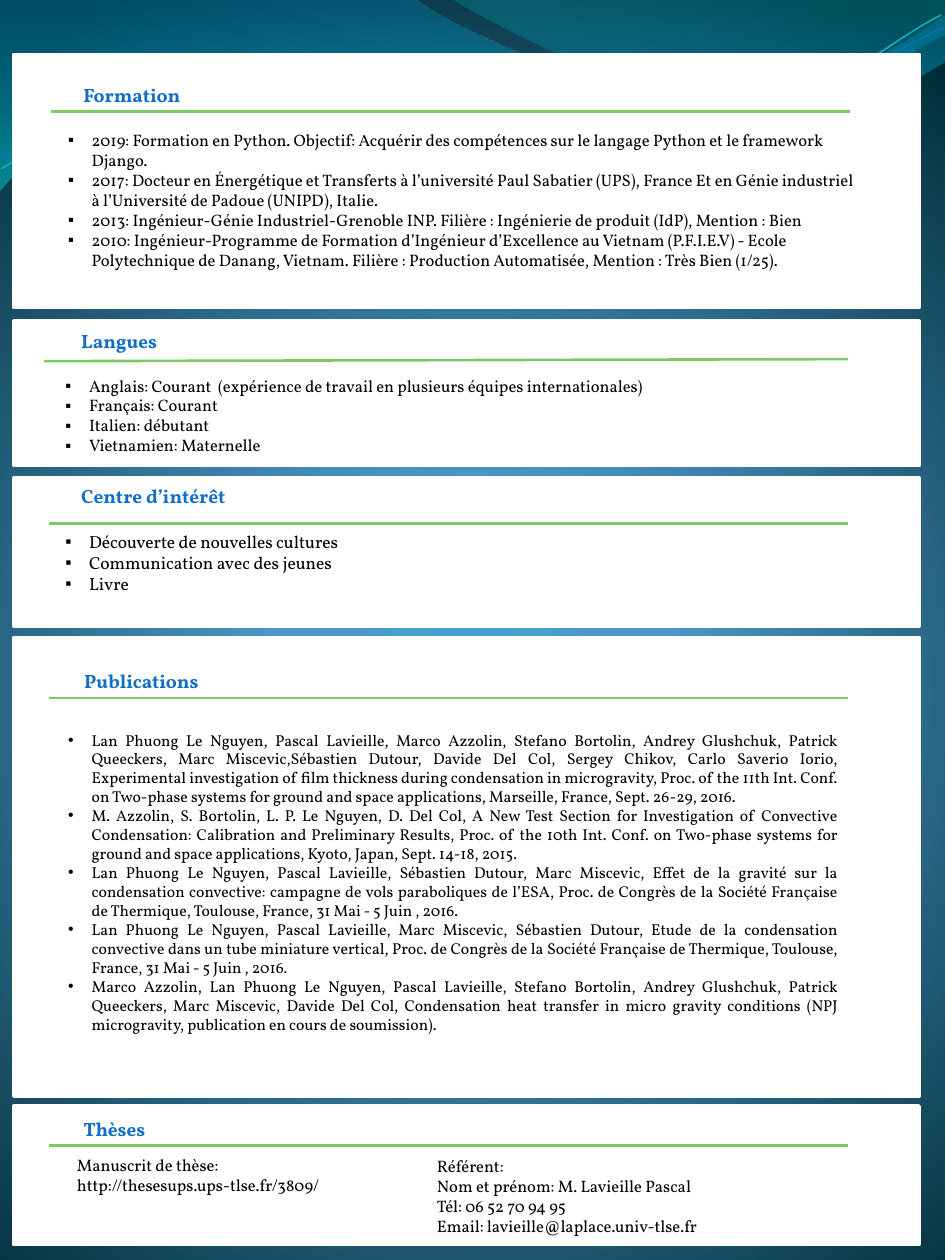
from lxml import etree
from pptx import Presentation
from pptx import util as u
from pptx.dml.color import RGBColor
from pptx.enum import shapes, text
from pptx.oxml import parse_xml
from pptx.oxml.ns import qn

BLUE = RGBColor(0x0F, 0x6F, 0xC6)
GREEN = RGBColor(0x7C, 0xCA, 0x62)
TEAL = RGBColor(0x0A, 0xB8, 0xBF)
WHITE = RGBColor(0xFF, 0xFF, 0xFF)
BLACK = RGBColor(0, 0, 0)
SKY = RGBColor(0x4A, 0xA0, 0xD6)
STEEL = RGBColor(0x4C, 0x98, 0xC7)
NIGHT = RGBColor(0x00, 0x2C, 0x38)
OCEAN = RGBColor(0x00, 0x74, 0xA1)
AQUA = RGBColor(0x00, 0xC6, 0xCF)
LAGOON = RGBColor(0x00, 0xA1, 0xA9)
AZURE = RGBColor(0x00, 0x8B, 0xBF)
FONT = "Vollkorn"
HANGING = 13.5
CARD_LEFT, CARD_WIDTH = 7.9, 517.3
DRAWING = "http://schemas.openxmlformats.org/drawingml/2006/main"
RADIAL = ('<a:path path="circle"><a:fillToRect l="10000" t="110000" '
          'r="10000" b="100000"/></a:path>')
DOWNWARD = '<a:lin ang="5400000" scaled="0"/>'

FORMATION = [
    "2019: Formation en Python. Objectif: Acquérir des compétences sur le langage Python et le framework Django.",
    "2017: Docteur en Énergétique et Transferts à l’université Paul Sabatier (UPS), France Et en Génie industriel "
    "à l’Université de Padoue (UNIPD), Italie.",
    "2013: Ingénieur-Génie Industriel-Grenoble INP. Filière\u00a0: Ingénierie de produit (IdP), Mention\u00a0: Bien",
    "2010: Ingénieur-Programme de Formation d’Ingénieur d’Excellence au Vietnam (P.F.I.E.V) - Ecole "
    "Polytechnique de Danang, Vietnam. Filière\u00a0: Production Automatisée, Mention\u00a0: Très Bien (1/25).",
]
LANGUES = [
    "Anglais: Courant  (expérience de travail en plusieurs équipes internationales)",
    "Français: Courant",
    "Italien: débutant",
    "Vietnamien: Maternelle",
]
INTERETS = ["Découverte de nouvelles cultures", "Communication avec des jeunes", "Livre"]
PUBLICATIONS = [
    "Lan Phuong Le Nguyen, Pascal Lavieille, Marco Azzolin, Stefano Bortolin, Andrey Glushchuk, Patrick "
    "Queeckers, Marc Miscevic,Sébastien Dutour, Davide Del Col, Sergey Chikov, Carlo Saverio Iorio, "
    "Experimental investigation of film thickness during condensation in microgravity, Proc. of the 11th Int. "
    "Conf. on Two-phase systems for ground and space applications, Marseille, France, Sept. 26-29, 2016.",
    "M. Azzolin, S. Bortolin, L. P. Le Nguyen, D. Del Col, A New Test Section for Investigation of Convective "
    "Condensation: Calibration and Preliminary Results, Proc. of the 10th Int. Conf. on Two-phase systems for "
    "ground and space applications, Kyoto, Japan, Sept. 14-18, 2015.",
    "Lan Phuong Le Nguyen, Pascal Lavieille, Sébastien Dutour, Marc Miscevic, Effet de la gravité sur la "
    "condensation convective: campagne de vols paraboliques de l’ESA, Proc. de Congrès de la Société Française "
    "de Thermique, Toulouse, France, 31 Mai - 5 Juin , 2016.",
    "Lan Phuong Le Nguyen, Pascal Lavieille, Marc Miscevic, Sébastien Dutour, Etude de la condensation "
    "convective dans un tube miniature vertical, Proc. de Congrès de la Société Française de Thermique, "
    "Toulouse, France, 31 Mai - 5 Juin , 2016.",
    "Marco Azzolin, Lan Phuong Le Nguyen, Pascal Lavieille, Stefano Bortolin, Andrey Glushchuk, Patrick "
    "Queeckers, Marc Miscevic, Davide Del Col, Condensation heat transfer in micro gravity conditions (NPJ "
    "microgravity, publication en cours de soumission).",
]
THESE = ["Manuscrit de thèse:", "http://thesesups.ups-tlse.fr/3809/"]
REFERENT = ["Référent:", "Nom et prénom: M. Lavieille Pascal", "Tél: 06 52 70 94 95",
            "Email: lavieille@laplace.univ-tlse.fr"]


def place(part, left, top, width, height):
    part.left, part.top = u.Pt(left), u.Pt(top)
    part.width, part.height = u.Pt(width), u.Pt(height)


def set_gradient(owner, root, stops, direction):
    owner.fill.gradient()
    marks = "".join(
        f'<a:gs pos="{pos * 1000}"><a:srgbClr val="{color}"><a:alpha val="{alpha * 1000}"/></a:srgbClr></a:gs>'
        for pos, color, alpha in stops)
    current = next(root.iter(qn("a:gradFill")))
    current.getparent().replace(current, parse_xml(
        f'<a:gradFill xmlns:a="{DRAWING}" rotWithShape="1"><a:gsLst>{marks}</a:gsLst>{direction}</a:gradFill>'))


def write(frame, line, first=False, size=9.5, color=BLACK, bold=False, indent=0, after=0,
          align=text.PP_ALIGN.LEFT, bullet=None):
    paragraph = frame.paragraphs[0] if first else frame.add_paragraph()
    paragraph.alignment, paragraph.line_spacing = align, 1.0
    paragraph.space_before, paragraph.space_after = u.Pt(0), u.Pt(after)
    props = paragraph._p.get_or_add_pPr()
    props.set("marL", str(u.Pt(HANGING if bullet else indent)))
    props.set("indent", str(u.Pt(-HANGING if bullet else 0)))
    if bullet:
        etree.SubElement(props, qn("a:buFont"), typeface="Arial")
        etree.SubElement(props, qn("a:buChar"), char=bullet)
    else:
        etree.SubElement(props, qn("a:buNone"))
    run = paragraph.add_run()
    run.text = line
    run.font.name, run.font.size = FONT, u.Pt(size)
    run.font.bold, run.font.color.rgb = bold, color


def prepare(holder, box, top_margin=3.6):
    place(holder, *box)
    frame = holder.text_frame
    frame.word_wrap = True
    frame.auto_size = text.MSO_AUTO_SIZE.NONE
    frame.vertical_anchor = text.MSO_ANCHOR.TOP
    frame.margin_left = frame.margin_right = u.Pt(7.2)
    frame.margin_top, frame.margin_bottom = u.Pt(top_margin), u.Pt(3.6)
    return frame


def write_heading(frame, name, indent, after=0):
    write(frame, name, first=True, size=11, color=BLUE, bold=True, indent=indent, after=after)


def bring_forward(holder):
    holder._element.getparent().append(holder._element)


def add_section(slide, holder, name, lines, box, indent, gap=13.2, top_margin=3.6, **style):
    frame = prepare(holder, box, top_margin)
    write_heading(frame, name, indent, gap)
    for line in lines:
        write(frame, line, **style)
    bring_forward(holder)


def add_details(slide, lines, box):
    frame = prepare(slide.shapes.add_textbox(0, 0, 0, 0), box)
    for number, line in enumerate(lines):
        write(frame, line, first=number == 0)


def add_card(slide, top, height):
    card = slide.shapes.add_shape(shapes.MSO_SHAPE.RECTANGLE, 0, 0, 0, 0)
    place(card, CARD_LEFT, top, CARD_WIDTH, height)
    card.shadow.inherit = False
    card.fill.solid()
    card.fill.fore_color.rgb = card.line.color.rgb = WHITE
    card.line.width = u.Pt(2)


def add_rule(slide, left, start, right, end):
    rule = slide.shapes.add_connector(shapes.MSO_CONNECTOR.STRAIGHT,
                                      u.Pt(left), u.Pt(start), u.Pt(right), u.Pt(end))
    rule.line.color.rgb, rule.line.width = GREEN, u.Pt(1.5)
    etree.SubElement(rule._element.spPr, qn("a:effectLst"))


def bend(wave, pieces):
    corners = iter(list(wave._element.iter(qn("a:lnTo"))))
    for piece in pieces:
        corner = next(corners)
        if len(piece) == 6:
            curve = etree.Element(qn("a:cubicBezTo"))
            corner.addprevious(curve)
            for knot in (corner, next(corners), next(corners)):
                curve.append(knot[0])
                knot.getparent().remove(knot)


def add_wave(slide, start, pieces, stops=None, color=None, width=0):
    knots = [(u.Pt(piece[i]), u.Pt(piece[i + 1])) for piece in pieces for i in range(0, len(piece), 2)]
    builder = slide.shapes.build_freeform(u.Pt(start[0]), u.Pt(start[1]))
    builder.add_line_segments(knots, close=bool(stops))
    wave = builder.convert_to_shape()
    bend(wave, pieces)
    wave.shadow.inherit = False
    if stops:
        set_gradient(wave, wave._element, stops, DOWNWARD)
        wave.line.fill.background()
    else:
        wave.fill.background()
        wave.line.color.rgb, wave.line.width = color, u.Pt(width)


def add_backdrop(slide):
    set_gradient(slide.background, slide._element,
                 [(0, SKY, 100), (25, STEEL, 100), (100, NIGHT, 100)], RADIAL)
    add_wave(slide, (0, 0), [
        (237.6, 0), (257, 15.8, 358.6, 60.5, 409.7, 60.5), (460.8, 60.5, 517.7, 24.5, 540, 8.6),
        (540, 34.6), (531.4, 41.8, 469.4, 72.7, 402.5, 72.7), (335.5, 72, 205.9, 26.6, 139, 32.4),
        (69.8, 33.8, 24.5, 79.9, 0, 108.7)], stops=[(0, OCEAN, 45), (100, AQUA, 55)])
    add_wave(slide, (258.5, 0), [
        (275, 10.8, 367.9, 59, 415.4, 62.6), (462.2, 66.2, 519.1, 31, 540, 20.2), (540, 0)],
        stops=[(0, LAGOON, 30), (80, AZURE, 45)])
    add_wave(slide, (0.7, 96.5), [
        (25.9, 80.6, 85, 47.5, 149, 45.4), (213.1, 42.5, 320.4, 87.1, 385.2, 80.6),
        (450.7, 74.9, 506.2, 23.8, 537.8, 8.6)], color=TEAL, width=0.85)
    add_wave(slide, (0.7, 89.3), [
        (25.9, 82.8, 87.8, 51.8, 152.6, 49.7), (217.4, 47.5, 323.3, 82.1, 387.4, 76.3),
        (452.2, 71.3, 507.6, 28.8, 539.3, 15.8)], color=BLUE, width=0.75)


def main():
    deck = Presentation()
    deck.slide_width, deck.slide_height = u.Pt(540), u.Pt(720)
    slide = deck.slides.add_slide(deck.slide_layouts[4])
    title, formation, langues, interets, publications = slide.placeholders
    add_backdrop(slide)

    add_card(slide, 183.6, 82.5)
    add_section(slide, langues, "Langues", LANGUES, (30.2, 184.5, 466.6, 79.9), 9, bullet="▪")
    add_rule(slide, 25.2, 206.4, 484.6, 205.2)

    add_card(slide, 632, 79.3)
    add_details(slide, REFERENT, (242.6, 657, 241.2, 60))
    add_details(slide, THESE, (36.9, 656.6, 210.2, 41.8))
    write_heading(prepare(title, (20.9, 635, 79.2, 20.9)), "Thèses", 19.5)
    bring_forward(title)
    add_rule(slide, 28.1, 654.7, 484.6, 654.7)

    add_card(slide, 31, 144.7)
    add_section(slide, formation, "Formation", FORMATION, (31.7, 31, 465.1, 139.7), 8.7,
                top_margin=16.8, bullet="▪")
    add_rule(slide, 29.1, 63.7, 485.6, 63.7)

    add_card(slide, 273.2, 84.6)
    add_section(slide, interets, "Centre d’intérêt", INTERETS, (30.2, 273.2, 466.6, 80.6), 9,
                size=10, bullet="▪")
    add_rule(slide, 28.1, 299.1, 484.6, 299.1)

    add_card(slide, 364.3, 262.1)
    add_section(slide, publications, "Publications", PUBLICATIONS, (31.7, 379, 453.8, 198), 9.2,
                gap=21.5, size=9, bullet="•", align=text.PP_ALIGN.JUSTIFY)
    add_rule(slide, 28.1, 398.9, 484.6, 398.9)
    deck.save("out.pptx")


main()
